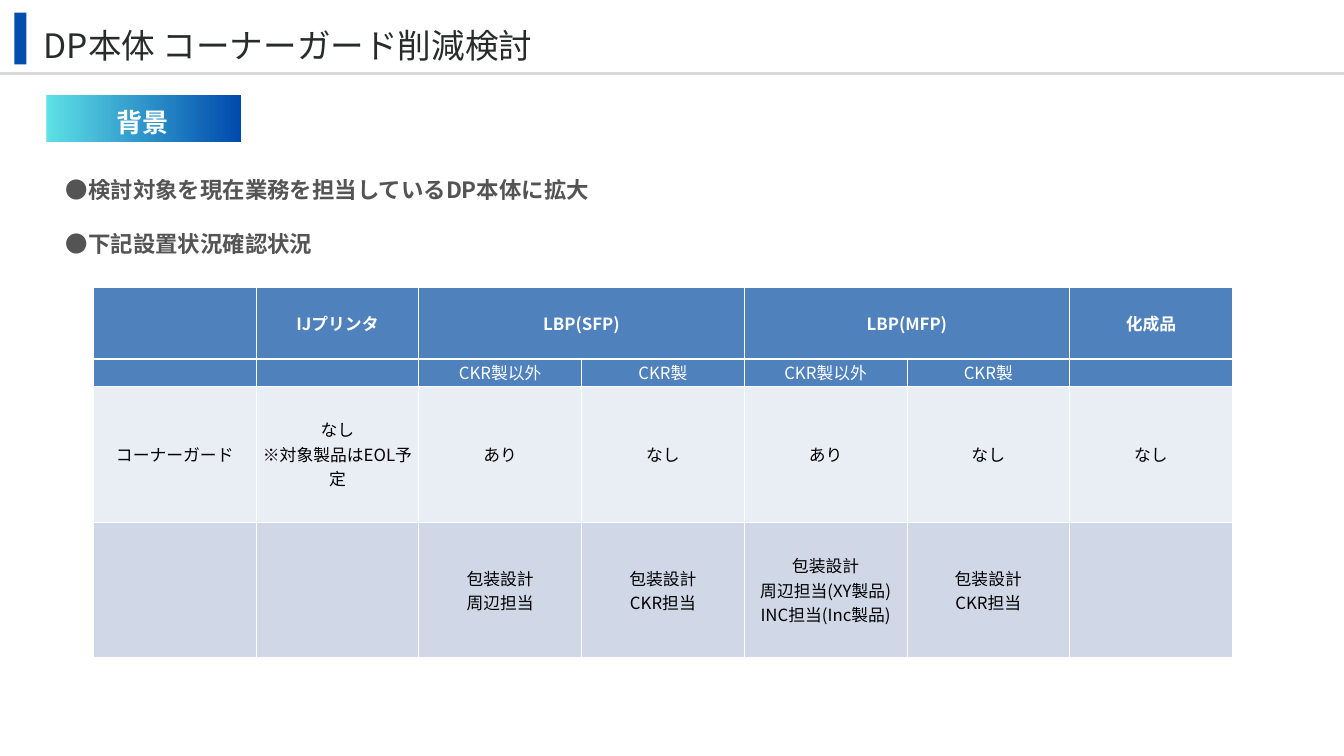
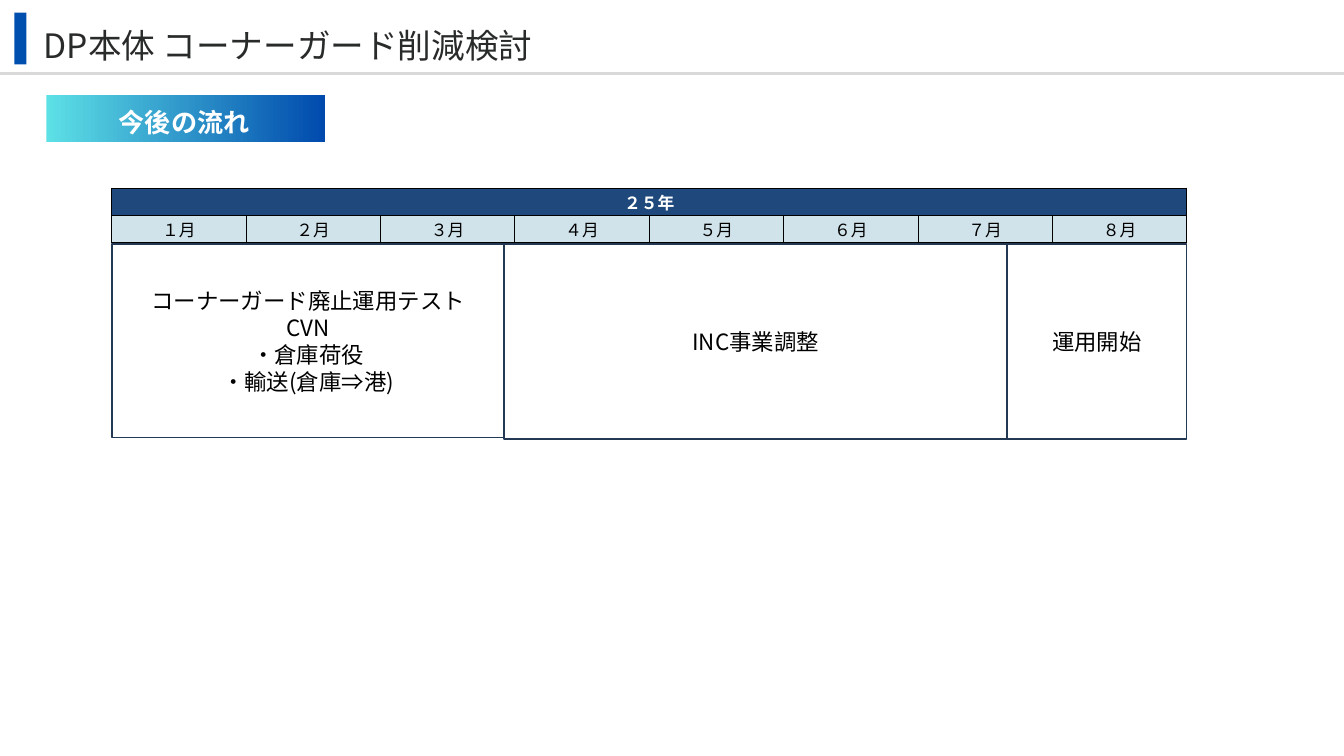
from lxml.etree import SubElement
from pptx import Presentation
from pptx.dml.color import RGBColor
from pptx.enum.shapes import MSO_CONNECTOR, MSO_SHAPE
from pptx.enum.text import MSO_ANCHOR as Anchor, MSO_AUTO_SIZE as AutoSize, PP_ALIGN as Align
from pptx.oxml import parse_xml
from pptx.oxml.ns import nsdecls, qn
from pptx.util import Cm, Pt

FONT = "Noto Sans CJK JP"
WHITE = RGBColor(0xFF, 0xFF, 0xFF)
BLACK = RGBColor(0, 0, 0)
ACCENT = RGBColor(0x00, 0x4E, 0xAE)
RULE = RGBColor(0xD9, 0xD9, 0xD9)
TITLE_INK = RGBColor(0x29, 0x2B, 0x2B)
BODY_INK = RGBColor(0x54, 0x54, 0x54)
AQUA = RGBColor(0x5D, 0xE0, 0xE6)
DEEP_BLUE = RGBColor(0x00, 0x4A, 0xAD)
OUTLINE = RGBColor(0x23, 0x39, 0x53)
HEAD_FILL = RGBColor(0x4F, 0x81, 0xBD)
LIGHT_ROW = RGBColor(0xE9, 0xED, 0xF4)
DARK_ROW = RGBColor(0xD0, 0xD8, 0xE8)
YEAR_FILL = RGBColor(0x1F, 0x49, 0x7D)
MONTH_FILL = RGBColor(0xD0, 0xE3, 0xEA)

TITLE_ONLY, TITLE_AND_BODY = 5, 1
TITLE = "DP本体 コーナーガード削減検討"
TITLE_TEXT = {"size": Pt(36), "bold": False, "color": TITLE_INK}
BODY_TEXT = {"size": Pt(24), "bold": True, "color": BODY_INK}
BANNER_TEXT = {"size": Pt(28), "bold": True, "color": WHITE}
STEP_TEXT = {"size": Pt(24), "bold": False, "color": BLACK}
HEAD_TEXT = {"size": Pt(18), "bold": True, "color": WHITE}
SUBHEAD_TEXT = {**HEAD_TEXT, "bold": False}
CELL_TEXT = {**SUBHEAD_TEXT, "color": BLACK}
CENTRED = {"alignment": Align.CENTER}
NO_INSETS = dict.fromkeys(("margin_left", "margin_top", "margin_right", "margin_bottom"), 0)

STATUS_ROWS = [
    ["", "IJプリンタ", "LBP(SFP)", "", "LBP(MFP)", "", "化成品"],
    ["", "", "CKR製以外", "CKR製", "CKR製以外", "CKR製", ""],
    ["コーナーガード", "なし\n※対象製品はEOL予定", "あり", "なし", "あり", "なし", "なし"],
    ["", "", "包装設計\n周辺担当", "包装設計\nCKR担当",
     "包装設計\n周辺担当(XY製品)\nINC担当(Inc製品)", "包装設計\nCKR担当", ""],
]
STATUS_STYLES = [(HEAD_FILL, HEAD_TEXT), (HEAD_FILL, SUBHEAD_TEXT),
                 (LIGHT_ROW, CELL_TEXT), (DARK_ROW, CELL_TEXT)]
MONTH_ROWS = [["２５年"] + [""] * 7, [f"{digit}月" for digit in "１２３４５６７８"]]
MONTH_STYLES = [(YEAR_FILL, HEAD_TEXT), (MONTH_FILL, CELL_TEXT)]
STEPS = [
    ("コーナーガード廃止運用テスト\nCVN\n・倉庫荷役\n・輸送(倉庫⇒港)", 14.81, 7.32),
    ("INC事業調整", 19.02, 7.39),
    ("運用開始", 6.78, 7.39),
]


def apply(target, formats):
    for name, value in formats.items():
        setattr(target, name, value)


def write(frame, text, text_format, para_format):
    for index, line in enumerate(text.split("\n")):
        para = frame.paragraphs[0] if index == 0 else frame.add_paragraph()
        apply(para, para_format)
        if not line:
            continue
        span = para.add_run()
        span.text = line
        apply(span.font, {"name": FONT, "size": text_format["size"], "bold": text_format["bold"]})
        span.font.color.rgb = text_format["color"]
        SubElement(span.font._element, qn("a:ea"), typeface=FONT)


def place(shape, left, top, width, height):
    apply(shape, {"left": Cm(left), "top": Cm(top), "width": Cm(width), "height": Cm(height)})


def add_box(page, left, top, width, height):
    box = page.shapes.add_shape(MSO_SHAPE.RECTANGLE, Cm(left), Cm(top), Cm(width), Cm(height))
    box.shadow.inherit = False
    box.line.fill.background()
    return box


def add_page(deck, layout):
    page = deck.slides.add_slide(deck.slide_layouts[layout])
    bar = add_box(page, 0.54, 0.48, 0.46, 1.96)
    bar.fill.solid()
    bar.fill.fore_color.rgb = ACCENT
    rule = page.shapes.add_connector(MSO_CONNECTOR.STRAIGHT, 0, Cm(2.79), deck.slide_width, Cm(2.79))
    rule.line.color.rgb = RULE
    rule.line.width = Pt(3)
    SubElement(rule._element.spPr, qn("a:effectLst"))
    title = page.shapes.title
    place(title, 1.65, 0.56, 46.3, 1.78)
    apply(title.text_frame, {**NO_INSETS, "vertical_anchor": Anchor.TOP,
                             "word_wrap": True, "auto_size": AutoSize.NONE})
    write(title.text_frame, TITLE, TITLE_TEXT, {"alignment": Align.LEFT, "line_spacing": Pt(54)})
    return page


def add_banner(page, text, width):
    banner = add_box(page, 1.75, 3.58, width, 1.8)
    banner.fill.gradient()
    banner.fill.gradient_angle = 0
    for stop, color, position in zip(banner.fill.gradient_stops, (AQUA, DEEP_BLUE), (0, 1)):
        stop.color.rgb = color
        stop.position = position
    label = page.shapes.add_textbox(Cm(2.39), Cm(3.78), Cm(width - 1.4), Cm(1.85))
    apply(label.text_frame, {**dict.fromkeys(NO_INSETS, Cm(0.15)),
                             "vertical_anchor": Anchor.MIDDLE, "word_wrap": True})
    write(label.text_frame, text, BANNER_TEXT, {**CENTRED, "line_spacing": Pt(29.4)})


def add_points(page, points):
    body = page.placeholders[1]
    place(body, 2.49, 6.65, 21.59, 3.07)
    apply(body.text_frame, {**NO_INSETS, "vertical_anchor": Anchor.TOP,
                            "word_wrap": True, "auto_size": AutoSize.NONE})
    write(body.text_frame, "\n".join(points), BODY_TEXT,
          {"alignment": Align.LEFT, "line_spacing": Pt(29), "space_before": Pt(29)})
    body.text_frame.paragraphs[0].space_before = Pt(0)
    for para in body.text_frame.paragraphs:
        properties = para._p.get_or_add_pPr()
        properties.set("marL", "0")
        properties.set("indent", "0")
        SubElement(properties, qn("a:buNone"))


def set_borders(cell, color, widths):
    properties = cell._tc.get_or_add_tcPr()
    for index, (side, width) in enumerate(zip("LRTB", widths)):
        properties.insert(index, parse_xml(
            f'<a:ln{side} {nsdecls("a")} w="{Pt(width)}"><a:solidFill>'
            f'<a:srgbClr val="{color}"/></a:solidFill></a:ln{side}>'))


def add_grid(page, left, top, column_width, row_heights, rows, styles, merges, border, head_rule=1):
    columns = len(rows[0])
    grid = page.shapes.add_table(len(rows), columns, Cm(left), Cm(top),
                                 Cm(column_width * columns), Cm(sum(row_heights))).table
    apply(grid, {"first_row": False, "horz_banding": False})
    for column in grid.columns:
        column.width = Cm(column_width)
    for row, height in zip(grid.rows, row_heights):
        row.height = Cm(height)
    for r, (texts, (fill, text_format)) in enumerate(zip(rows, styles)):
        for c, text in enumerate(texts):
            cell = grid.cell(r, c)
            apply(cell, {"margin_top": Cm(0.02), "margin_bottom": Cm(0.02),
                         "vertical_anchor": Anchor.MIDDLE})
            cell.fill.solid()
            cell.fill.fore_color.rgb = fill
            set_borders(cell, border, (1, 1, head_rule if r == 1 else 1, head_rule if r == 0 else 1))
            write(cell.text_frame, text, text_format, CENTRED)
    for first, last in merges:
        grid.cell(0, first).merge(grid.cell(0, last))


def add_steps(page, left, top):
    for text, width, height in STEPS:
        step = add_box(page, left, top, width, height)
        step.fill.solid()
        step.fill.fore_color.rgb = WHITE
        step.line.color.rgb = OUTLINE
        step.line.width = Pt(2)
        apply(step.text_frame, {"vertical_anchor": Anchor.MIDDLE, "word_wrap": True})
        write(step.text_frame, text, STEP_TEXT, {**CENTRED, "line_spacing": Pt(29)})
        left += width


def main():
    deck = Presentation()
    apply(deck, {"slide_width": Cm(50.8), "slide_height": Cm(28.58)})

    background = add_page(deck, TITLE_AND_BODY)
    add_points(background, ["●検討対象を現在業務を担当しているDP本体に拡大", "●下記設置状況確認状況"])
    add_banner(background, "背景", 7.37)
    add_grid(background, 3.53, 10.85, 6.15, [2.72, 1.02, 5.14, 5.14], STATUS_ROWS,
             STATUS_STYLES, [(2, 3), (4, 5)], WHITE, head_rule=3)

    schedule = add_page(deck, TITLE_ONLY)
    add_banner(schedule, "今後の流れ", 10.54)
    add_steps(schedule, 4.24, 9.22)
    add_grid(schedule, 4.22, 7.11, 5.08, [1.03, 1.03], MONTH_ROWS, MONTH_STYLES, [(0, 7)], BLACK)

    deck.save("out.pptx")


if __name__ == "__main__":
    main()
